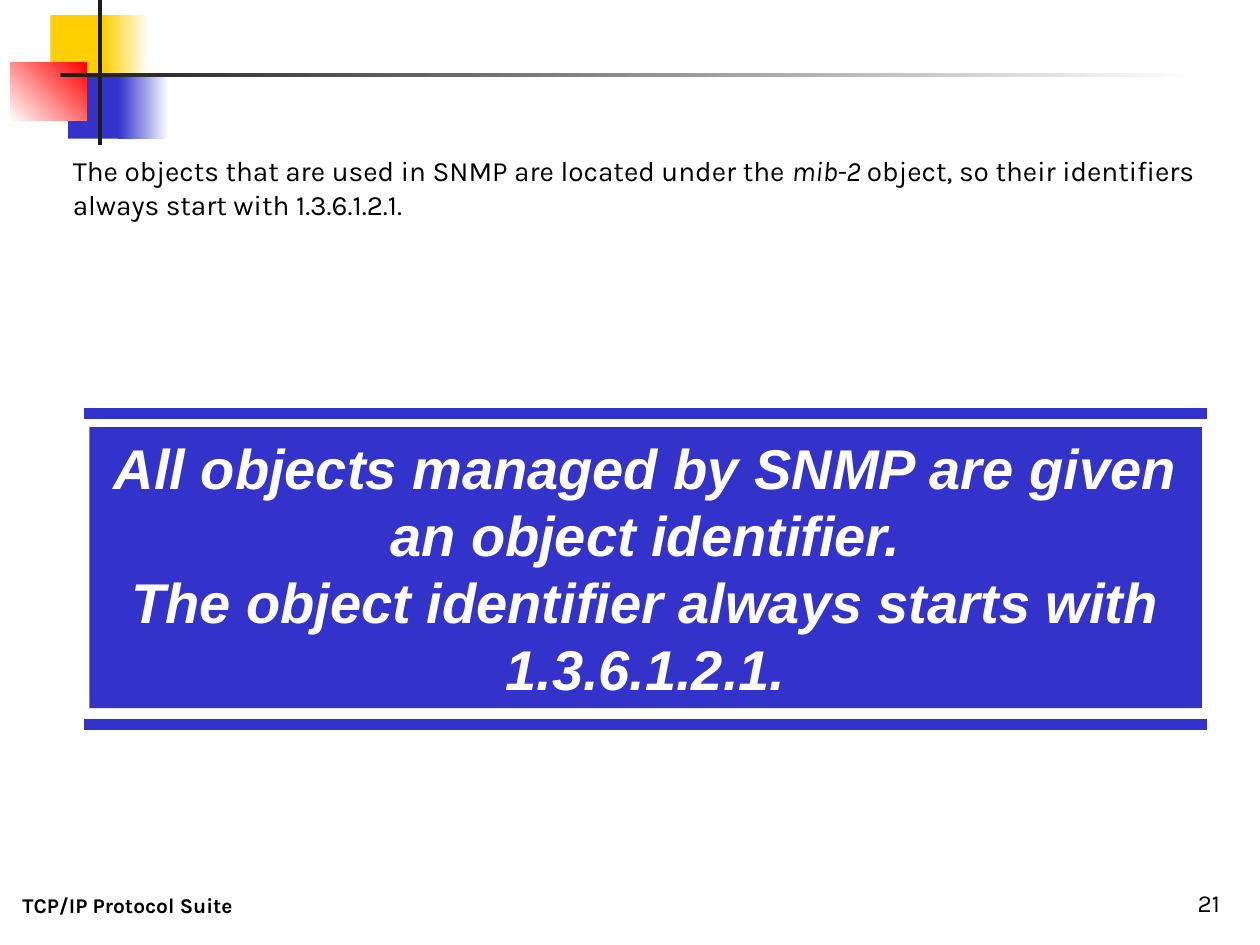
import pptx
import pptx.dml.color
import pptx.enum.shapes
import pptx.enum.text
import pptx.oxml.ns
import pptx.util
from lxml import etree

Inches = pptx.util.Inches
Pt = pptx.util.Pt
ALIGN = pptx.enum.text.PP_ALIGN
ANCHOR = pptx.enum.text.MSO_ANCHOR

COLORS = {
    "yellow": "FFCF01",
    "blue": "3333CC",
    "red": "FF0000",
    "dark": "1C1C1C",
    "white": "FFFFFF",
    "black": "000000",
}

# Each paragraph is a list of (text, italic) runs.
FOOTER = [[("TCP/IP Protocol Suite", False)]]
SLIDE_NUMBER = [[("21", False)]]
INTRODUCTION = [[
    ("The objects that are used in SNMP are located under the ", False),
    ("mib-2 ", True),
    ("object, so their identifiers always start with 1.3.6.1.2.1.", False),
]]
KEY_POINT = [
    [("All objects managed by SNMP are given an object identifier.", True)],
    [("The object identifier always starts with 1.3.6.1.2.1.", True)],
]

# (left, top, width, height), colours from start to end, gradient angle
DECORATION = [
    ((0.4, 0.12, 0.48, 0.52), ["yellow"], 0),
    ((0.82, 0.12, 0.36, 0.52), ["yellow", "white"], 0),
    ((0.54, 0.58, 0.46, 0.52), ["blue"], 0),
    ((0.94, 0.58, 0.4, 0.52), ["blue", "white"], 0),
    ((0.08, 0.5, 0.61, 0.46), ["white", "red"], 45),
    ((0.78, 0, 0.03, 1.15), ["dark"], 0),
    ((0.48, 0.58, 9, 0.03), ["dark", "white"], 0),
]
RULE_LEFT, RULE_RIGHT = 0.67, 9.58
RULE_TOPS = [3.28, 5.75]


def rgb(name):
    return pptx.dml.color.RGBColor.from_string(COLORS[name])


def add_block(slide, box, colors, angle=0):
    """Add a borderless rectangle, graded when two colours are given."""
    shape = slide.shapes.add_shape(
        pptx.enum.shapes.MSO_SHAPE.RECTANGLE, *map(Inches, box))
    shape.shadow.inherit = False
    shape.line.fill.background()
    if len(colors) == 1:
        shape.fill.solid()
        shape.fill.fore_color.rgb = rgb(colors[0])
    else:
        shape.fill.gradient()
        shape.fill.gradient_angle = angle
        for position, (stop, color) in enumerate(zip(shape.fill.gradient_stops, colors)):
            stop.position = position
            stop.color.rgb = rgb(color)
    return shape


def add_rule(slide, top):
    line = slide.shapes.add_connector(
        pptx.enum.shapes.MSO_CONNECTOR.STRAIGHT,
        Inches(RULE_LEFT), Inches(top), Inches(RULE_RIGHT), Inches(top))
    line.line.color.rgb = rgb("blue")
    line.line.width = Pt(6)
    etree.SubElement(line._element.spPr, pptx.oxml.ns.qn("a:effectLst"))


def write_text(shape, paragraphs, size, font="Karla", color="black", bold=False,
               align=ALIGN.LEFT, anchor=ANCHOR.TOP):
    frame = shape.text_frame
    frame.word_wrap = True
    frame.vertical_anchor = anchor
    for index, runs in enumerate(paragraphs):
        paragraph = frame.add_paragraph() if index else frame.paragraphs[0]
        paragraph.alignment = align
        for text, italic in runs:
            run = paragraph.add_run()
            run.text = text
            run.font.name = font
            run.font.size = Pt(size)
            run.font.bold = bold
            run.font.italic = italic
            run.font.color.rgb = rgb(color)


def add_text(slide, box, paragraphs, **text_format):
    write_text(slide.shapes.add_textbox(*map(Inches, box)), paragraphs, **text_format)


def main():
    presentation = pptx.Presentation()
    presentation.slide_width = Inches(10)
    presentation.slide_height = Inches(7.5)
    slide = presentation.slides.add_slide(presentation.slide_layouts[6])

    add_text(slide, (0.08, 6.83, 3.17, 0.5), FOOTER, size=12, bold=True,
             anchor=ANCHOR.BOTTOM)
    add_text(slide, (7.7, 6.83, 2.08, 0.5), SLIDE_NUMBER, size=14,
             align=ALIGN.RIGHT, anchor=ANCHOR.BOTTOM)
    for box, colors, angle in DECORATION:
        add_block(slide, box, colors, angle)
    for top in RULE_TOPS:
        add_rule(slide, top)
    panel = add_block(slide, (0.71, 3.39, 8.83, 2.23), ["blue"])
    write_text(panel, KEY_POINT, size=32, font="Arial", color="white", bold=True,
               align=ALIGN.CENTER)
    add_text(slide, (0.48, 1.17, 9.1, 0.64), INTRODUCTION, size=16)

    presentation.save("out.pptx")


if __name__ == "__main__":
    main()
